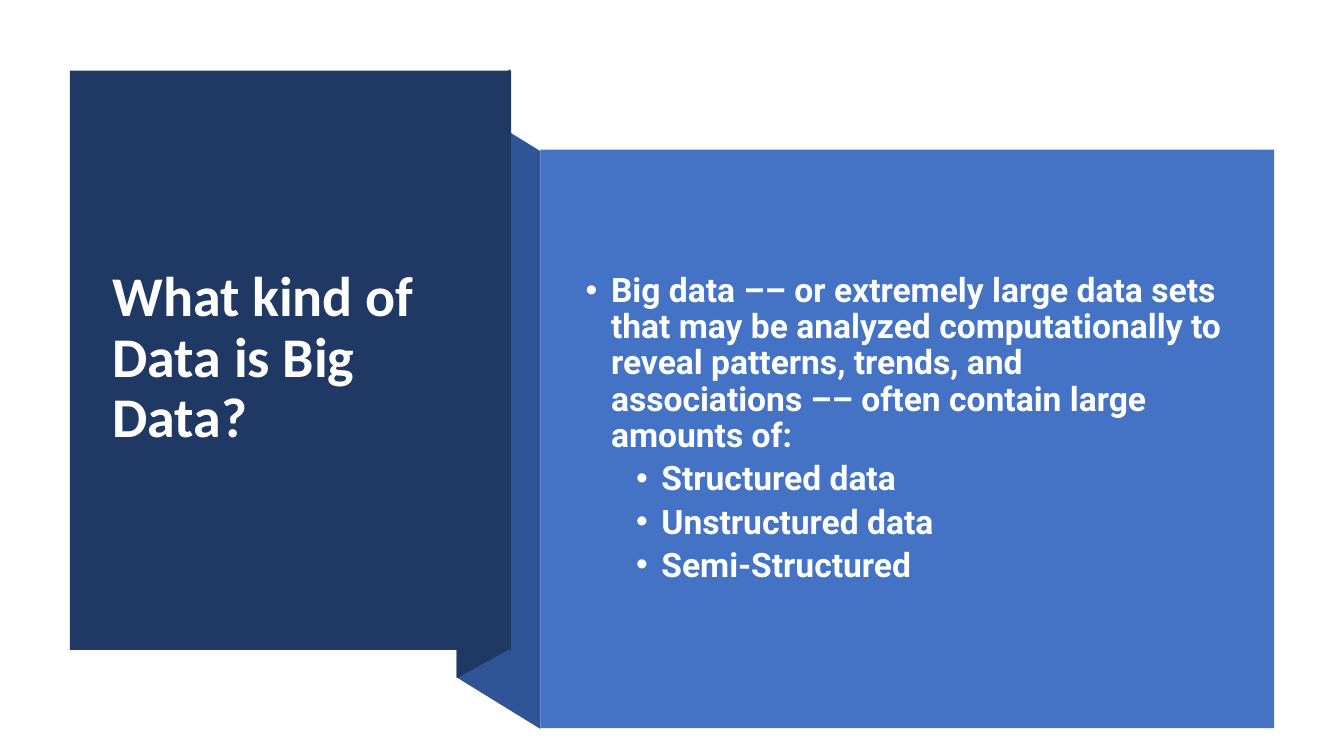
from collections import namedtuple
from dataclasses import dataclass

from lxml.etree import SubElement as Sub
from pptx import Presentation
from pptx.dml.color import RGBColor as Rgb
from pptx.enum.shapes import MSO_SHAPE as Kind
from pptx.enum.text import MSO_ANCHOR as Anchor
from pptx.oxml.ns import qn
from pptx.util import Cm, Pt

Box = namedtuple("Box", "left top width height")


@dataclass(frozen=True)
class Theme:
    navy: str = "203864"
    mid: str = "2F5597"
    blue: str = "4472C4"
    white: str = "FFFFFF"
    pale: str = "FEFFFF"
    head: str = "Calibri"
    body: str = "Roboto"
    head_size: int = 40
    body_size: int = 24
    leading: float = 0.9


theme = Theme()
TITLE = "What kind of Data is Big Data?"
POINTS = [
    (0, "Big data –– or extremely large data sets that may be analyzed "
        "computationally to reveal patterns, trends, and associations –– "
        "often contain large amounts of:"),
    (1, "Structured data"),
    (1, "Unstructured data"),
    (1, "Semi-Structured"),
]


def paint(shape, color):
    shape.shadow.inherit = False
    shape.fill.solid()
    shape.fill.fore_color.rgb = Rgb.from_string(color)
    shape.line.fill.background()


def add_panel(slide, box, color):
    paint(slide.shapes.add_shape(Kind.RECTANGLE, *map(Cm, box)), color)


def add_fold(slide, box, drop, color):
    """Slanted band whose right edge lies lower than its left by drop."""
    right = box.left + box.width
    low, high = max(-drop, 0), max(drop, 0)
    base = box.top + box.height
    dots = [
        (right, base - low),
        (box.left, base - high),
        (box.left, box.top + low),
        (right, box.top + high),
    ]
    dots = [(Cm(x), Cm(y)) for x, y in dots]
    form = slide.shapes.build_freeform(*dots[0])
    form.add_line_segments(dots[1:], close=True)
    paint(form.convert_to_shape(), color)


def add_frame(slide, box):
    frame = slide.shapes.add_textbox(*map(Cm, box)).text_frame
    frame.word_wrap = True
    frame.vertical_anchor = Anchor.MIDDLE
    return frame


def style(para, name, size, color):
    para.line_spacing = theme.leading
    for run in para.runs:
        font = run.font
        font.name, font.size, font.bold = name, Pt(size), True
        font.color.rgb = Rgb.from_string(color)


def add_bullet(para, level):
    para.level = level
    para.space_before = Pt(5 if level else 10)
    props = para._p.get_or_add_pPr()
    props.set("marL", str(Cm(0.64 + 1.27 * level)))
    props.set("indent", str(-Cm(0.64)))
    Sub(props, qn("a:buFont")).set("typeface", "Arial")
    Sub(props, qn("a:buChar")).set("char", "•")


# Ribbon folds that join the two panels
def draw_folds(slide, box):
    add_fold(slide, Box(box.left, box.top + 0.76, box.width, 15.86),
             1.3, theme.mid)
    add_fold(slide, Box(box.left, box.top, 1.35, 15.34), -0.74, theme.navy)


# Title panel on the left
def draw_title(slide, box):
    add_panel(slide, box, theme.navy)
    frame = add_frame(slide, Box(box.left + 0.83, box.top + 0.94,
                                 box.width - 1.7, box.height - 1.93))
    frame.text = TITLE
    style(frame.paragraphs[0], theme.head, theme.head_size, theme.white)


# Bulleted panel on the right
def draw_body(slide, box):
    add_panel(slide, box, theme.blue)
    frame = add_frame(slide, Box(box.left + 0.89, box.top + 1.02,
                                 box.width - 1.95, box.height - 2.54))
    frame.text = "\n".join(text for _, text in POINTS)
    for para, (level, _) in zip(frame.paragraphs, POINTS):
        style(para, theme.body, theme.body_size, theme.pale)
        add_bullet(para, level)


def main():
    deck = Presentation()
    deck.slide_width, deck.slide_height = Cm(33.87), Cm(19.05)
    slide = deck.slides.add_slide(deck.slide_layouts[6])
    draw_folds(slide, Box(11.51, 1.75, 2.11, 16.62))
    draw_title(slide, Box(1.76, 1.78, 11.12, 14.6))
    draw_body(slide, Box(13.62, 3.77, 18.49, 14.58))
    deck.save("out.pptx")


if __name__ == "__main__":
    main()
